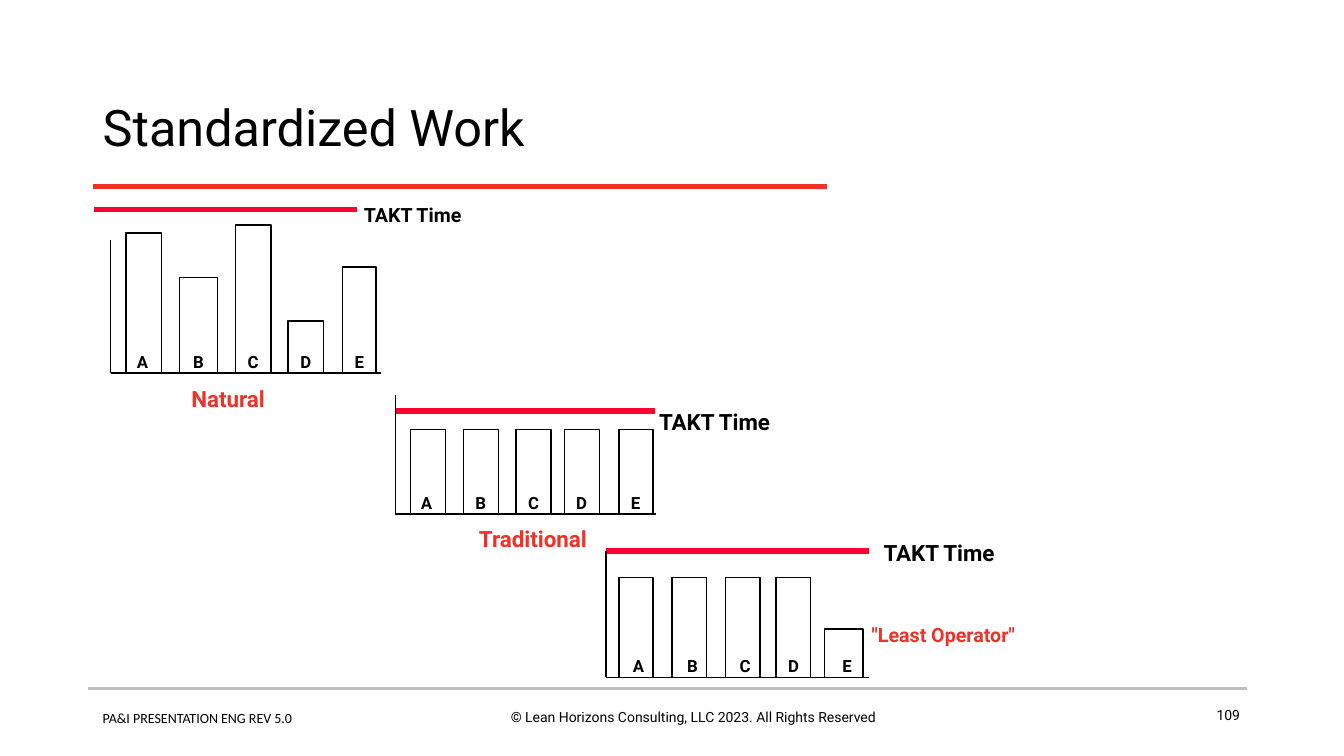
from lxml.etree import SubElement
from pptx import Presentation
from pptx.dml.color import RGBColor
from pptx.enum.shapes import MSO_CONNECTOR, MSO_SHAPE
from pptx.enum.text import MSO_ANCHOR, PP_ALIGN
from pptx.oxml.ns import qn
from pptx.util import Cm, Pt

COLORS = {
    "black": "000000",
    "red": "EE3228",
    "takt": "FF0033",
    "grey": "BFBFBF",
}


def add_text(text, box, size, color="black", bold=False, font="Roboto",
             align=PP_ALIGN.LEFT, wrap=False):
    """Add a one-paragraph text box; box is left, top, width, height in cm."""
    sp = s.shapes.add_textbox(*map(Cm, box))
    tf = sp.text_frame
    tf.word_wrap = wrap
    p = tf.paragraphs[0]
    p.text = text
    p.alignment = align
    f = p.runs[0].font
    f.name, f.size, f.bold = font, Pt(size), bold
    f.color.rgb = RGBColor.from_string(COLORS[color])
    return tf


def add_line(x1, y1, x2, y2, color="black", width=1):
    ln = s.shapes.add_connector(MSO_CONNECTOR.STRAIGHT, Cm(x1), Cm(y1), Cm(x2), Cm(y2))
    ln.line.color.rgb = RGBColor.from_string(COLORS[color])
    ln.line.width = Pt(width)
    SubElement(ln._element.spPr, qn("a:effectLst"))


prs = Presentation()
prs.slide_width, prs.slide_height = Cm(33.87), Cm(19.05)
s = prs.slides.add_slide(prs.slide_layouts[6])

# Title and footer
tf = add_text("Standardized Work", (2.34, 1.88, 29.21, 2.79), 36, wrap=True)
tf.vertical_anchor = MSO_ANCHOR.MIDDLE
tf.paragraphs[0].line_spacing = 0.9
add_line(2.34, 4.7, 20.83, 4.7, "red", 3)

add_line(2.21, 17.35, 31.42, 17.35, "grey", 2)
add_text("PA&I PRESENTATION ENG REV 5.0", (2.34, 17.75, 11.58, 1.12), 10,
         font="Calibri", wrap=True)
add_text("© Lean Horizons Consulting, LLC 2023. All Rights Reserved",
         (11.68, 17.73, 11.58, 1.12), 10, align=PP_ALIGN.CENTER, wrap=True)
tf = add_text("109", (23.88, 17.73, 7.62, 0.91), 10, align=PP_ALIGN.RIGHT, wrap=True)
tf.paragraphs[0].line_spacing = 0.9

# Operator loading diagrams, each bar as (left, width, height, letter left)
diagrams = [
    {"takt": (2.36, 9.0, 5.28), "axis": (2.79, 6.05), "base": (9.4, 9.6),
     "takt_label": ((8.92, 4.98, 3.05, 0.86), 14),
     "caption": ("Natural", (4.52, 9.58, 2.46, 0.94), 16),
     "bars": [(3.18, 0.89, 3.53, 3.2), (4.52, 0.97, 2.41, 4.62), (5.94, 0.89, 3.73, 5.99),
              (7.26, 0.89, 1.31, 7.32), (8.64, 0.84, 2.67, 8.69)]},
    {"takt": (9.96, 16.5, 10.36), "axis": (9.96, 9.96), "base": (12.95, 16.54),
     "takt_label": ((16.36, 10.16, 3.48, 0.94), 16),
     "caption": ("Traditional", (11.73, 13.11, 3.4, 0.94), 16),
     "bars": [(10.34, 0.89, 2.13, 10.36), (11.68, 0.89, 2.13, 11.73), (13.0, 0.89, 2.13, 13.06),
              (14.22, 0.89, 2.13, 14.27), (15.6, 0.86, 2.13, 15.65)]},
    {"takt": (15.27, 21.9, 13.89), "axis": (15.27, 13.89), "base": (17.07, 21.89),
     "takt_label": ((22.02, 13.46, 4.24, 0.94), 16),
     "caption": ('"Least Operator"', (21.69, 15.57, 4.17, 0.86), 14),
     "bars": [(15.6, 0.86, 2.51, 15.7), (16.94, 0.86, 2.51, 17.07), (18.29, 0.86, 2.51, 18.39),
              (19.56, 0.86, 2.51, 19.61), (20.78, 0.97, 1.22, 20.98)]},
]

for diagram in diagrams:
    takt_left, takt_right, takt_y = diagram["takt"]
    axis_x, axis_top = diagram["axis"]
    base_y, base_right = diagram["base"]
    add_line(takt_left, takt_y, takt_right, takt_y, "takt", 4)
    add_line(axis_x, axis_top, axis_x, base_y)
    for letter, (left, width, height, letter_left) in zip("ABCDE", diagram["bars"]):
        sp = s.shapes.add_shape(MSO_SHAPE.RECTANGLE, Cm(left), Cm(base_y - height),
                                Cm(width), Cm(height))
        sp.shadow.inherit = False
        sp.fill.background()
        sp.line.color.rgb = RGBColor.from_string(COLORS["black"])
        sp.line.width = Pt(1)
        add_text(letter, (letter_left, base_y - 0.66, 0.8, 0.76), 12, bold=True)
    add_line(axis_x, base_y, base_right, base_y)
    takt_box, takt_size = diagram["takt_label"]
    add_text("TAKT Time", takt_box, takt_size, bold=True)
    caption, caption_box, caption_size = diagram["caption"]
    add_text(caption, caption_box, caption_size, "red", bold=True, align=PP_ALIGN.CENTER)

prs.save("out.pptx")
